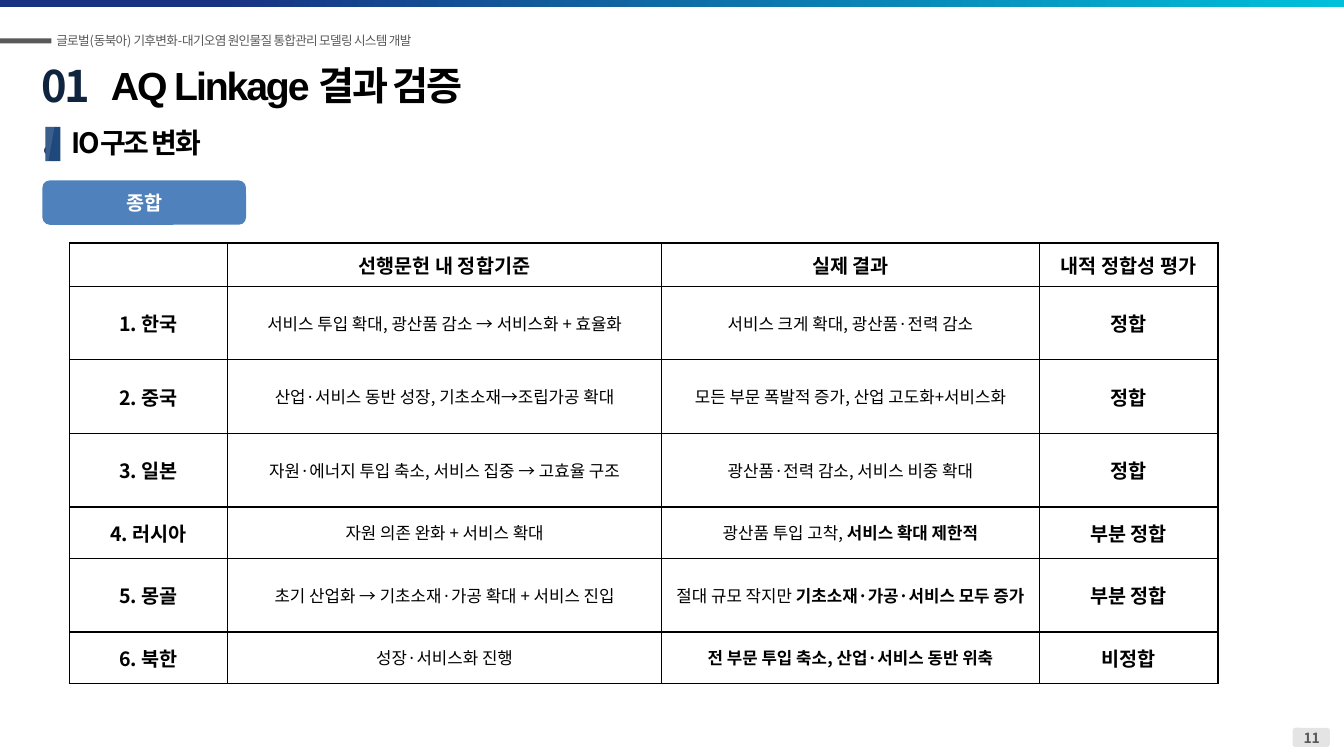
from lxml import etree
from pptx import Presentation
from pptx.dml.color import RGBColor
from pptx.enum import shapes, text
from pptx.oxml import ns
from pptx.util import Inches, Pt

NOTO = "Noto Sans CJK KR"
BLACK = RGBColor(0, 0, 0)
WHITE = RGBColor(0xFF, 0xFF, 0xFF)
GRAY = RGBColor(0x59, 0x59, 0x59)
PALE_GRAY = RGBColor(0xE4, 0xE4, 0xE4)
NAVY = RGBColor(0x0F, 0x24, 0x3E)
DEEP_BLUE = RGBColor(0x1F, 0x49, 0x7D)
BLUE = RGBColor(0x4F, 0x81, 0xBD)
BAND_START = RGBColor(0x19, 0x32, 0x82)
BAND_END = RGBColor(0x00, 0xC0, 0xDA)

COLUMNS = [1.57, 4.3, 3.75, 1.77]
ROW_HEIGHTS = [0.43, 0.73, 0.73, 0.73, 0.51, 0.73, 0.51]
HEADINGS = ["", "선행문헌 내 정합기준", "실제 결과", "내적 정합성 평가"]
FINDINGS = [
    ("1. 한국", "서비스 투입 확대, 광산품 감소 → 서비스화 + 효율화",
     "서비스 크게 확대, 광산품·전력 감소", "", "정합"),
    ("2. 중국", "산업·서비스 동반 성장, 기초소재→조립가공 확대",
     "모든 부문 폭발적 증가, 산업 고도화+서비스화", "", "정합"),
    ("3. 일본", "자원·에너지 투입 축소, 서비스 집중 → 고효율 구조",
     "광산품·전력 감소, 서비스 비중 확대", "", "정합"),
    ("4. 러시아", "자원 의존 완화 + 서비스 확대",
     "광산품 투입 고착, ", "서비스 확대 제한적", "부분 정합"),
    ("5. 몽골", "초기 산업화 → 기초소재·가공 확대 + 서비스 진입",
     "절대 규모 작지만 ", "기초소재·가공·서비스 모두 증가", "부분 정합"),
    ("6. 북한", "성장·서비스화 진행",
     "", "전 부문 투입 축소, 산업·서비스 동반 위축", "비정합"),
]


def style(para, size, color, bold=None, spacing=0, latin=NOTO, align=text.PP_ALIGN.LEFT):
    """Set the font, tracking and alignment of a paragraph."""
    para.alignment = align
    font = para.font
    font.size, font.bold, font.name = Pt(size), bold, latin
    font.color.rgb = color
    properties = para._p.pPr.find(ns.qn("a:defRPr"))
    if spacing:
        properties.set("spc", str(round(spacing * 100)))
    etree.SubElement(properties, ns.qn("a:ea")).set("typeface", NOTO)


def add_block(page, box, color, kind=shapes.MSO_SHAPE.RECTANGLE):
    """Add a plain filled shape without line or shadow."""
    block = page.shapes.add_shape(kind, *map(Inches, box))
    block.shadow.inherit = False
    block.line.fill.background()
    block.fill.solid()
    block.fill.fore_color.rgb = color
    return block


def add_label(page, box, words, size, color, anchor=text.MSO_ANCHOR.TOP, **options):
    """Add a wrapped one-paragraph text box."""
    frame = page.shapes.add_textbox(*map(Inches, box)).text_frame
    frame.word_wrap = True
    frame.vertical_anchor = anchor
    frame.text = words
    style(frame.paragraphs[0], size, color, **options)


def add_page_frame(page, width):
    """Draw the top band, project line and page number."""
    band = add_block(page, (0, 0, width, 0.07), BAND_START)
    band.fill.gradient()
    band.fill.gradient_angle = 0
    for stop, place, color in zip(band.fill.gradient_stops, (0.16, 1), (BAND_START, BAND_END)):
        stop.position = place
        stop.color.rgb = color
    add_block(page, (0, 0.38, 0.51, 0.05), GRAY)
    add_label(page, (0.46, 0.28, 4.11, 0.25),
              "글로벌(동북아) 기후변화-대기오염 원인물질 통합관리 모델링 시스템 개발",
              9, GRAY, spacing=-0.5)
    badge = add_block(page, (width - 0.51, 7.22, 0.37, 0.19), PALE_GRAY,
                      shapes.MSO_SHAPE.ROUNDED_RECTANGLE)
    badge.adjustments[0] = 0.157
    add_label(page, (width - 0.71, 7.19, 0.78, 0.27), "11", 10, GRAY,
              bold=True, align=text.PP_ALIGN.CENTER)


def add_heading(page, left, top):
    """Place the section number and the slide title."""
    add_label(page, (left, top, 0.77, 0.62), "01.", 31, NAVY, bold=True, spacing=-1.3)
    title = page.shapes.title
    title.left, title.top = Inches(left + 0.69), Inches(top + 0.02)
    title.width, title.height = Inches(8.16), Inches(1.04)
    frame = title.text_frame
    frame.text = "AQ Linkage 결과 검증"
    frame.vertical_anchor = text.MSO_ANCHOR.TOP
    frame.auto_size = text.MSO_AUTO_SIZE.NONE
    style(frame.paragraphs[0], 28, BLACK, bold=True, spacing=-1.5, latin="Arial")


def add_subheading(page, left, top):
    """Draw the shaded marker with its subheading."""
    height = 0.34
    add_block(page, (left, top, 0.15, height), DEEP_BLUE)
    outline = page.shapes.build_freeform(Inches(left), Inches(top))
    outline.add_line_segments([(Inches(left + x), Inches(top + y))
                               for x, y in ((0.09, 0), (0.03, height), (0, height))])
    gleam = outline.convert_to_shape()
    gleam.shadow.inherit = False
    gleam.line.fill.background()
    gleam.fill.solid()
    gleam.fill.fore_color.rgb = WHITE
    tint = gleam._element.spPr.find(".//" + ns.qn("a:srgbClr"))
    etree.SubElement(tint, ns.qn("a:alpha")).set("val", "12000")
    add_label(page, (left + 0.16, top - 0.07, 10.65, 0.44), "IO구조 변화", 20, BLACK,
              anchor=text.MSO_ANCHOR.MIDDLE, bold=True, spacing=-1.5)


def add_tag(page, box):
    """Draw the rounded summary tag."""
    tag = add_block(page, box, BLUE, shapes.MSO_SHAPE.ROUNDED_RECTANGLE)
    tag.text_frame.text = "종합"
    tag.text_frame.vertical_anchor = text.MSO_ANCHOR.MIDDLE
    style(tag.text_frame.paragraphs[0], 14, WHITE, bold=True, align=text.PP_ALIGN.CENTER)


def add_borders(cell):
    """Give a cell thin black edges on all four sides."""
    properties = cell._tc.get_or_add_tcPr()
    for index, side in enumerate(("lnL", "lnR", "lnT", "lnB")):
        edge = etree.Element(ns.qn("a:" + side), w=str(Pt(1)))
        fill = etree.SubElement(edge, ns.qn("a:solidFill"))
        etree.SubElement(fill, ns.qn("a:srgbClr")).set("val", str(BLACK))
        properties.insert(index, edge)


def fill_cell(cell, spans, size):
    """Write centred (words, bold) spans into a bordered white cell."""
    cell.fill.solid()
    cell.fill.fore_color.rgb = WHITE
    add_borders(cell)
    cell.vertical_anchor = text.MSO_ANCHOR.MIDDLE
    cell.margin_left = cell.margin_right = Inches(0.08)
    cell.margin_top = cell.margin_bottom = Inches(0.04)
    para = cell.text_frame.paragraphs[0]
    style(para, size, BLACK, align=text.PP_ALIGN.CENTER)
    for words, bold in spans:
        if words:
            span = para.add_run()
            span.text = words
            span.font.bold = bold


def add_findings(page, left, top):
    """Build the consistency table."""
    grid = page.shapes.add_table(
        len(ROW_HEIGHTS), len(COLUMNS), Inches(left), Inches(top),
        Inches(sum(COLUMNS)), Inches(sum(ROW_HEIGHTS))).table
    grid.first_row = grid.horz_banding = False
    for column, width in zip(grid.columns, COLUMNS):
        column.width = Inches(width)
    for row, height in zip(grid.rows, ROW_HEIGHTS):
        row.height = Inches(height)
    for index, words in enumerate(HEADINGS):
        fill_cell(grid.cell(0, index), [(words, True)], 14)
    for index, (country, criterion, plain, strong, verdict) in enumerate(FINDINGS, 1):
        fill_cell(grid.cell(index, 0), [(country, True)], 14)
        fill_cell(grid.cell(index, 1), [(criterion, False)], 12)
        fill_cell(grid.cell(index, 2), [(plain, False), (strong, True)], 12)
        fill_cell(grid.cell(index, 3), [(verdict, True)], 14)


def main():
    """Build and save the deck."""
    deck = Presentation()
    deck.slide_width, deck.slide_height = Inches(13.33), Inches(7.5)
    page = deck.slides.add_slide(deck.slide_layouts[5])
    add_page_frame(page, 13.33)
    add_heading(page, 0.31, 0.54)
    add_subheading(page, 0.45, 1.26)
    add_tag(page, (0.42, 1.79, 2.02, 0.44))
    add_findings(page, 0.69, 2.41)
    deck.save("out.pptx")


if __name__ == "__main__":
    main()
